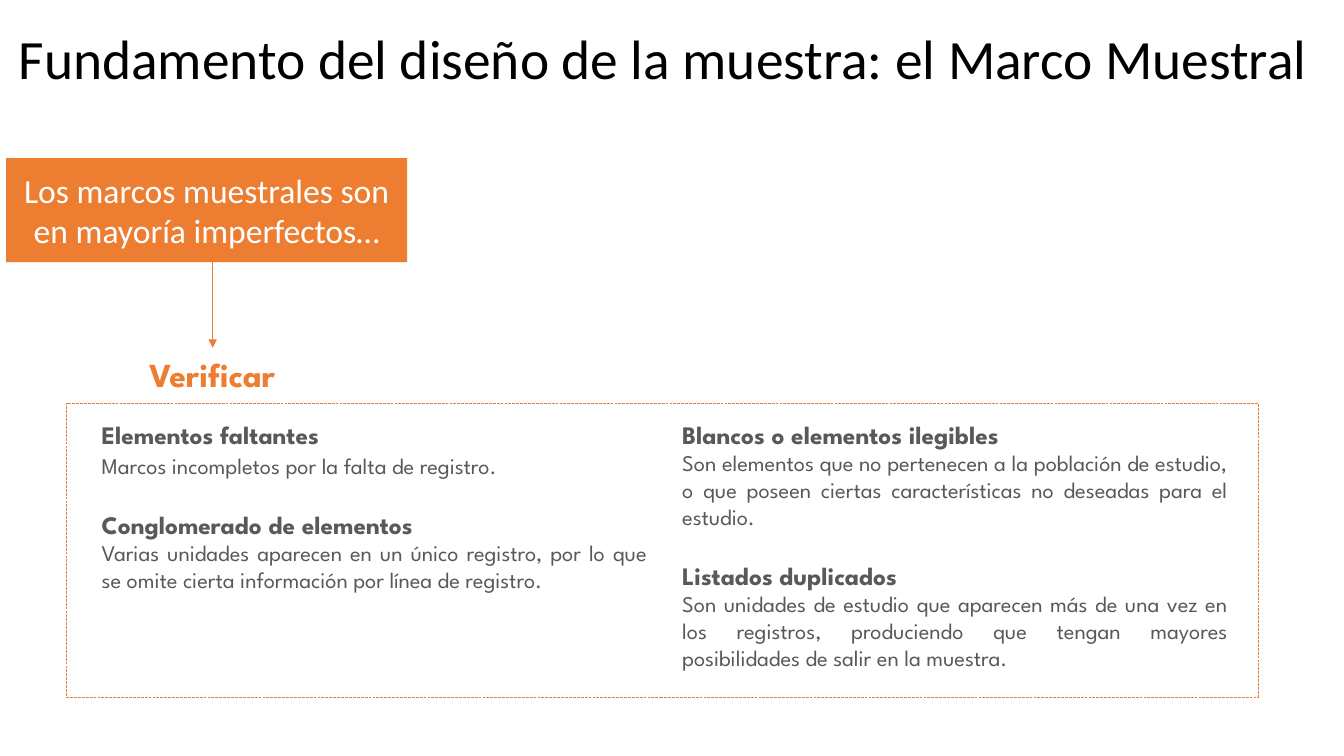
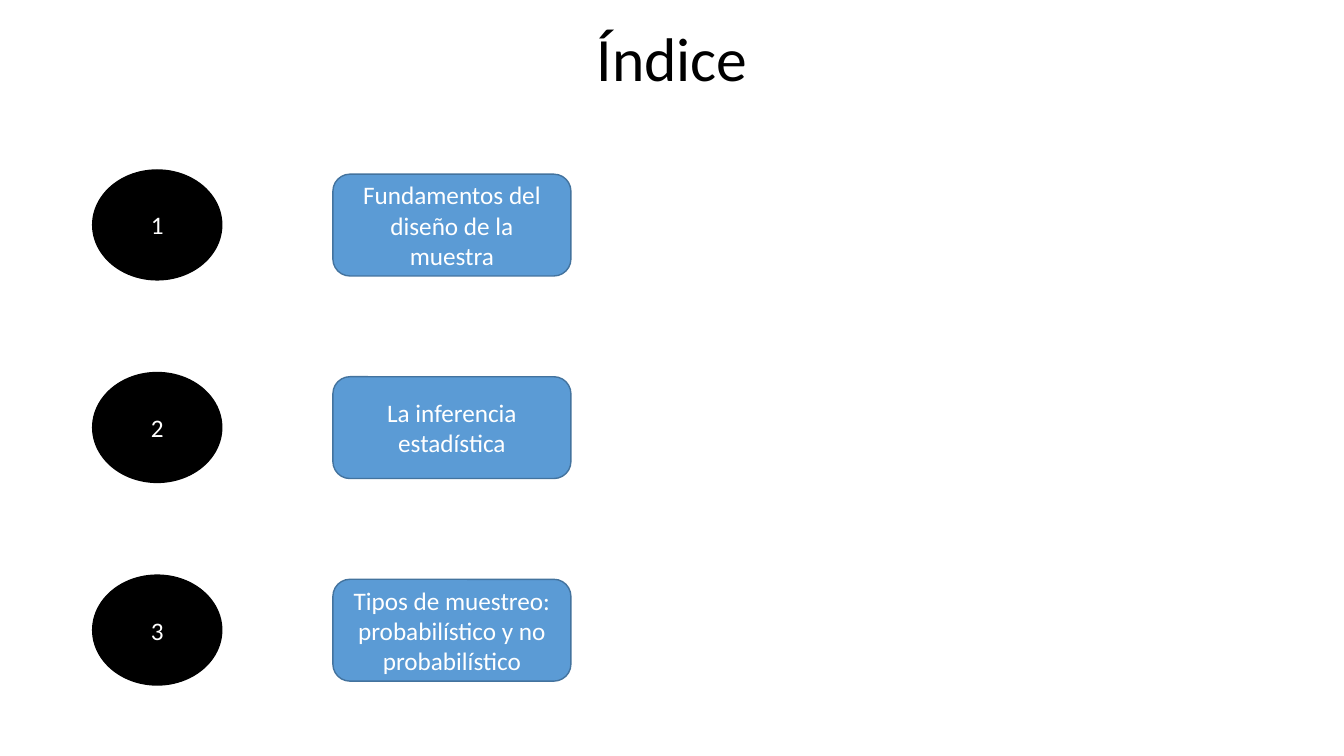
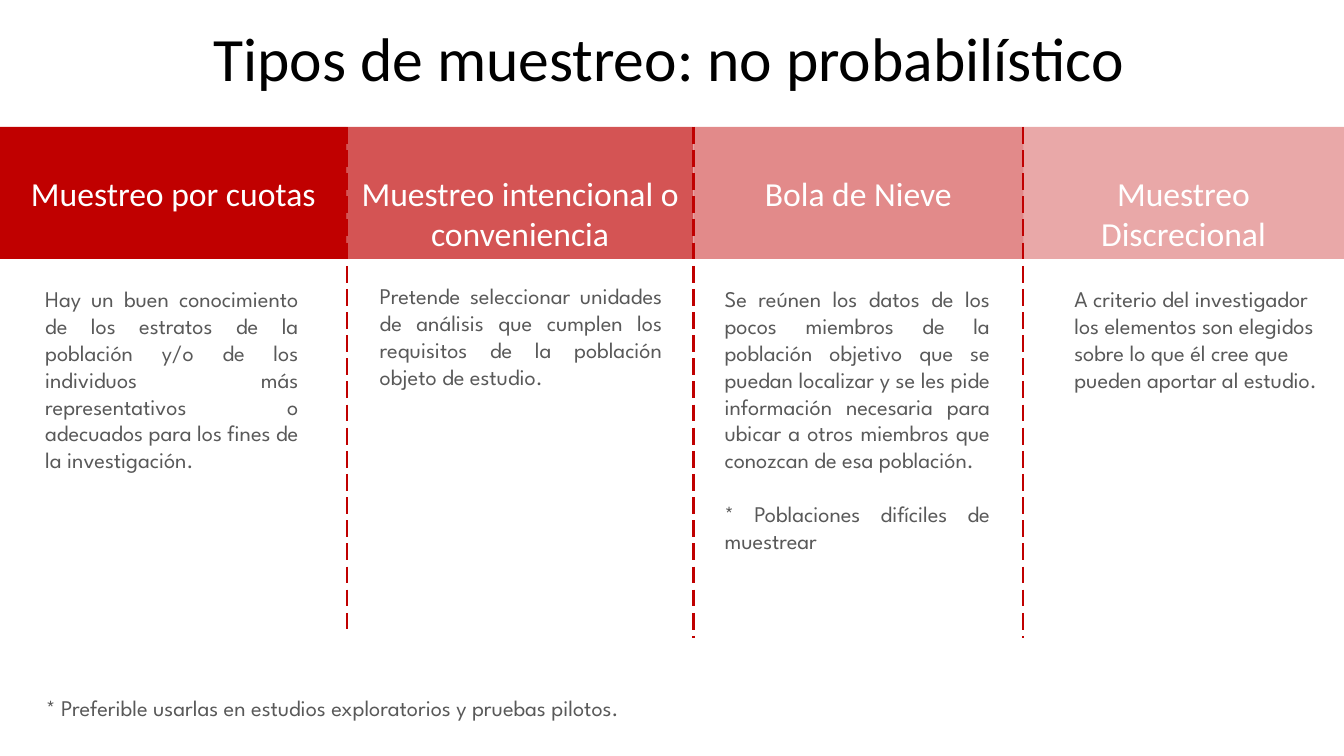
"""Build three slides about sample design and sampling types."""
from dataclasses import dataclass

from lxml import etree
from pptx import Presentation
from pptx.dml.color import RGBColor
from pptx.enum.dml import MSO_LINE
from pptx.enum.shapes import MSO_CONNECTOR, MSO_SHAPE
from pptx.enum.text import MSO_ANCHOR, PP_ALIGN
from pptx.oxml.ns import qn
from pptx.util import Pt

RECT, OVAL, ROUND = MSO_SHAPE.RECTANGLE, MSO_SHAPE.OVAL, MSO_SHAPE.ROUNDED_RECTANGLE
LEFT, CENTER, JUSTIFY = PP_ALIGN.LEFT, PP_ALIGN.CENTER, PP_ALIGN.JUSTIFY
TOP, MIDDLE = MSO_ANCHOR.TOP, MSO_ANCHOR.MIDDLE
STRAIGHT = MSO_CONNECTOR.STRAIGHT
LONG_DASH = MSO_LINE.LONG_DASH


@dataclass(frozen=True)
class Theme:
    sans: str = "Calibri"
    display: str = "League Spartan"
    black: str = "000000"
    white: str = "FFFFFF"
    gray: str = "595959"
    orange: str = "ED7D31"
    blue: str = "5B9BD5"
    navy: str = "43739E"
    red: str = "C00000"
    title: float = 44
    long_title: float = 39.6
    heading: float = 24
    subhead: float = 18
    body: float = 16


@dataclass(frozen=True)
class Box:
    x: float
    y: float
    w: float
    h: float


@dataclass(frozen=True)
class Entry:
    head: str
    text: str
    gap: float = 0


@dataclass(frozen=True)
class Column:
    head: str
    alpha: int
    body: Box
    paras: tuple[str, ...]
    align: PP_ALIGN = JUSTIFY


T = Theme()
TITLE = Box(4.3, 12.2, 947.5, 64.1)
BLOCK_GAP = 21.6
HEAD_Y, HEAD_H, HEAD_INSET = 90.7, 94.3, 32.9
EDGES = (0, 247.7, 495.4, 730.8, 960)
SEPARATOR_ENDS = (449.3, 455.8, 455.8)
ROW_PITCH = 144.7

ENTRIES = {
    480.2: (
        Entry("Blancos o elementos ilegibles",
              "Son elementos que no pertenecen a la población de estudio, o que poseen "
              "ciertas características no deseadas para el estudio."),
        Entry("Listados duplicados",
              "Son unidades de estudio que aparecen más de una vez en los registros, "
              "produciendo que tengan mayores posibilidades de salir en la muestra."),
    ),
    65.5: (
        Entry("Elementos faltantes", "Marcos incompletos por la falta de registro.", 2),
        Entry("Conglomerado de elementos",
              "Varias unidades aparecen en un único registro, por lo que se omite cierta "
              "información por línea de registro."),
    ),
}
TOPICS = (
    "Fundamentos del diseño de la muestra",
    "La inferencia estadística",
    "Tipos de muestreo: probabilístico y no probabilístico",
)
COLUMNS = (
    Column("Muestreo por cuotas", 100, Box(25.2, 200.2, 195.1, 204),
           ("Hay un buen conocimiento de los estratos de la población y/o de los individuos "
            "más representativos o adecuados para los fines de la investigación.",)),
    Column("Muestreo intencional o conveniencia", 67, Box(264.2, 198, 216, 124),
           ("Pretende seleccionar unidades de análisis que cumplen los requisitos de la "
            "población objeto de estudio.",)),
    Column("Bola de Nieve", 46, Box(510.5, 200.2, 203.8, 279),
           ("Se reúnen los datos de los pocos miembros de la población objetivo que se puedan "
            "localizar y se les pide información necesaria para ubicar a otros miembros que "
            "conozcan de esa población.",
            "* Poblaciones difíciles de muestrear")),
    Column("Muestreo Discrecional", 34, Box(760.3, 200.2, 190.1, 124),
           ("A criterio del investigador los elementos son elegidos sobre lo que él cree que "
            "pueden aportar al estudio.",), LEFT),
)


def add_text(tf, text: str, *, size: float = T.body, color: str = T.gray,
             font: str = T.display, bold: bool = False, align: PP_ALIGN = JUSTIFY,
             before: float = 0, spacing: float = 1.0) -> None:
    """Write a paragraph, using the frame's first one while it is empty."""
    p = tf.paragraphs[0] if not tf.text else tf.add_paragraph()
    p.alignment, p.line_spacing = align, spacing
    if before:
        p.space_before = Pt(before)
    r = p.add_run()
    r.text = text
    r.font.name, r.font.size, r.font.bold = font, Pt(size), bold
    r.font.color.rgb = RGBColor.from_string(color)


def add_box(sl, b: Box, anchor: MSO_ANCHOR = TOP):
    """Add a wrapping text box and return its frame."""
    tf = sl.shapes.add_textbox(Pt(b.x), Pt(b.y), Pt(b.w), Pt(b.h)).text_frame
    tf.word_wrap, tf.vertical_anchor = True, anchor
    return tf


def add_title(sl, text: str, size: float = T.title, box: Box = TITLE) -> None:
    """Add the slide title."""
    add_text(add_box(sl, box, MIDDLE), text, size=size, color=T.black, font=T.sans,
             align=CENTER, spacing=0.9)


def add_shape(sl, kind: MSO_SHAPE, b: Box, fill: str = "", line: str = "",
              width: float = 1, alpha: int = 100):
    """Add a flat preset shape with optional fill, outline and opacity."""
    s = sl.shapes.add_shape(kind, Pt(b.x), Pt(b.y), Pt(b.w), Pt(b.h))
    s.shadow.inherit = False
    if fill:
        s.fill.solid()
        s.fill.fore_color.rgb = RGBColor.from_string(fill)
        if alpha < 100:
            clr = s.element.spPr.find(f".//{qn('a:srgbClr')}")
            etree.SubElement(clr, qn("a:alpha"), val=str(alpha * 1000))
    else:
        s.fill.background()
    if line:
        s.line.color.rgb = RGBColor.from_string(line)
        s.line.width = Pt(width)
    else:
        s.line.fill.background()
    s.text_frame.word_wrap = True
    s.text_frame.vertical_anchor = MIDDLE
    return s


def add_label(s, text: str, size: float = T.subhead) -> None:
    """Write white centred text in a shape."""
    add_text(s.text_frame, text, size=size, color=T.white, font=T.sans, align=CENTER)


def add_vline(sl, x: float, y1: float, y2: float, color: str, width: float,
              dashed: bool = False, arrow: bool = False) -> None:
    """Add a vertical line, optionally dashed or with an arrowhead."""
    c = sl.shapes.add_connector(STRAIGHT, Pt(x), Pt(y1), Pt(x), Pt(y2))
    c.line.color.rgb = RGBColor.from_string(color)
    c.line.width = Pt(width)
    if dashed:
        c.line.dash_style = LONG_DASH
    sp = c.element.spPr
    if arrow:
        etree.SubElement(sp.find(qn("a:ln")), qn("a:tailEnd"), type="triangle")
    etree.SubElement(sp, qn("a:effectLst"))


def build_frame_slide(sl) -> None:
    """Draw the sampling frame slide."""
    for x, entries in ENTRIES.items():
        tf = add_box(sl, Box(x, 295.9, 403.9, 189))
        for i, e in enumerate(entries):
            add_text(tf, e.head, size=T.subhead, bold=True, before=BLOCK_GAP if i else 0)
            add_text(tf, e.text, before=e.gap)
    s = add_shape(sl, RECT, Box(4.3, 113, 286.6, 74.2), T.orange)
    add_label(s, "Los marcos muestrales son en mayoría imperfectos…", T.heading)
    add_vline(sl, 151.9, 187.2, 248.4, T.orange, 0.5, arrow=True)
    add_text(add_box(sl, Box(99.4, 249.1, 119.5, 36)), "Verificar", size=T.heading,
             color=T.orange, bold=True, align=LEFT)
    s = add_shape(sl, RECT, Box(47.5, 288, 851, 210.2), line=T.orange, width=0.25)
    s.line.dash_style = LONG_DASH
    add_title(sl, "Fundamento del diseño de la muestra: el Marco Muestral ", T.long_title)


def build_index_slide(sl) -> None:
    """Draw the numbered index."""
    add_title(sl, "Índice", box=Box(66.2, 12.2, 828, 64.1))
    for i, topic in enumerate(TOPICS):
        dy = i * ROW_PITCH
        s = add_shape(sl, OVAL, Box(66.2, 121.4 + dy, 92.2, 78.5), T.black, T.black)
        add_label(s, str(i + 1))
        s = add_shape(sl, ROUND, Box(237.8, 124.4 + dy, 170, 72.7), T.blue, T.navy)
        add_label(s, topic)


def build_types_slide(sl) -> None:
    """Draw the four columns of non-probability sampling."""
    for i, col in enumerate(COLUMNS):
        x = EDGES[i]
        if i:
            add_vline(sl, x, HEAD_Y, SEPARATOR_ENDS[i - 1], T.red, 1.5, dashed=True)
        s = add_shape(sl, RECT, Box(x, HEAD_Y, EDGES[i + 1] - x, HEAD_H), T.red,
                      alpha=col.alpha)
        s.text_frame.vertical_anchor = TOP
        s.text_frame.margin_top = Pt(HEAD_INSET)
        add_label(s, col.head, T.heading)
        tf = add_box(sl, col.body)
        for j, text in enumerate(col.paras):
            add_text(tf, text, align=col.align, before=19.2 if j else 0)
    add_text(add_box(sl, Box(25.9, 492.5, 538.6, 26.6)),
             "* Preferible usarlas en estudios exploratorios y pruebas pilotos.")
    add_title(sl, "Tipos de muestreo: no probabilístico")


def main() -> None:
    """Build and save the presentation."""
    prs = Presentation()
    prs.slide_width, prs.slide_height = Pt(960), Pt(540)
    for build in (build_frame_slide, build_index_slide, build_types_slide):
        build(prs.slides.add_slide(prs.slide_layouts[6]))
    prs.save("out.pptx")


if __name__ == "__main__":
    main()
